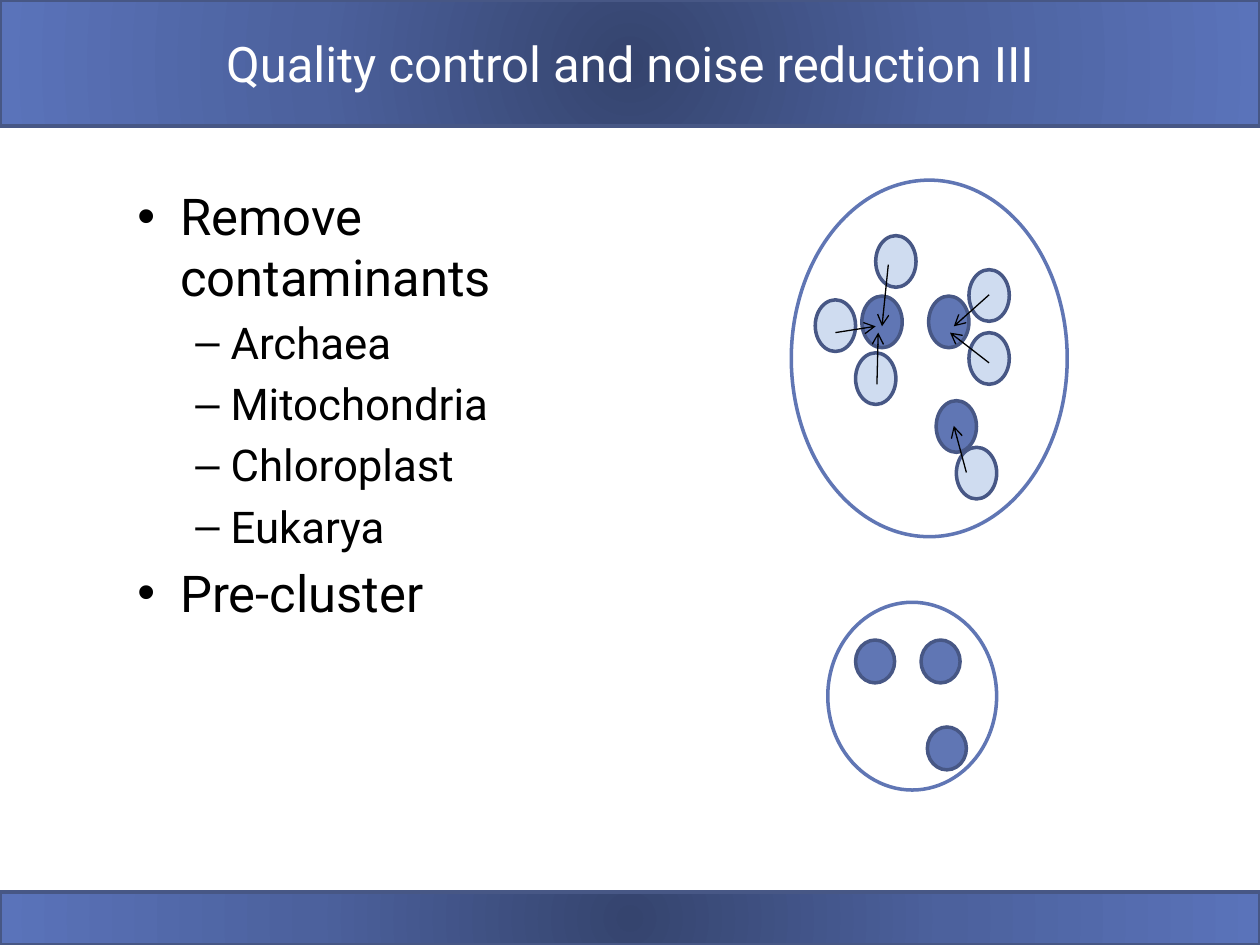
from dataclasses import dataclass

from lxml import etree
from pptx import Presentation
from pptx.dml.color import RGBColor
from pptx.enum.shapes import MSO_CONNECTOR, MSO_SHAPE
from pptx.enum.text import MSO_ANCHOR, PP_ALIGN
from pptx.oxml import parse_xml
from pptx.oxml.ns import nsdecls, qn
from pptx.util import Inches, Pt

RECT, OVAL = MSO_SHAPE.RECTANGLE, MSO_SHAPE.OVAL
STRAIGHT = MSO_CONNECTOR.STRAIGHT
MIDDLE, CENTER = MSO_ANCHOR.MIDDLE, PP_ALIGN.CENTER

# The slide is a grid of 1000 columns by 750 rows
COLS, ROWS = 1000, 750
UNIT = Inches(10) // COLS


@dataclass(frozen=True)
class Theme:
    font: str = "Roboto"
    ink: str = "000000"
    white: str = "FFFFFF"
    blue: str = "6076B4"
    pale: str = "CFDCF0"
    edge: str = "475785"
    band: tuple = ((0, "35446E"), (50, "4C619D"), (100, "5A73BA"))
    title: int = 28
    item: int = 29
    sub: int = 25
    line: float = 2
    thin: float = 0.75


THEME = Theme()

# Level: bullet, type size, left margin and hang in columns
LEVELS = (("•", THEME.item, 34, 34), ("–", THEME.sub, 74, 28))
ITEMS = (
    (0, "Remove contaminants"),
    (1, "Archaea"),
    (1, "Mitochondria"),
    (1, "Chloroplast"),
    (1, "Eukarya"),
    (0, "Pre-cluster"),
)

# Cells and arrows: columns and rows from the corner of their cluster
SEEDS = ((115, 175), (56, 92), (109, 92))
STRAYS = ((67, 44), (19, 95), (51, 137), (141, 71), (141, 121), (131, 212))
MOVES = (
    (35, 121, 67, 116),
    (77, 67, 72, 116),
    (68, 162, 69, 121),
    (139, 232, 129, 195),
    (157, 91, 129, 116),
    (157, 145, 126, 121),
)
MERGED = ((79, 99), (22, 30), (74, 30))


def grid(*vals):
    return [round(v * UNIT) for v in vals]


def add_form(shapes, kind, box, fill=None, edge=THEME.edge):
    form = shapes.add_shape(kind, *grid(*box))
    form.shadow.inherit = False
    if fill:
        form.fill.solid()
        form.fill.fore_color.rgb = RGBColor.from_string(fill)
    else:
        form.fill.background()
    form.line.color.rgb = RGBColor.from_string(edge)
    form.line.width = Pt(THEME.line)
    return form


def style(para, size, color):
    for run in para.runs:
        run.font.name = THEME.font
        run.font.size = Pt(size)
        run.font.color.rgb = RGBColor.from_string(color)


def add_frame(slide, box):
    frame = slide.shapes.add_textbox(*grid(*box)).text_frame
    frame.word_wrap = True
    frame.margin_left = frame.margin_right = Inches(0.09)
    frame.margin_top = frame.margin_bottom = Inches(0.05)
    return frame


def add_band(slide, box):
    band = add_form(slide.shapes, RECT, box, THEME.blue)
    stops = "".join(
        f'<a:gs pos="{pos * 1000}"><a:srgbClr val="{color}"/></a:gs>'
        for pos, color in THEME.band
    )
    # Radial gradient from the middle
    grad = parse_xml(
        f'<a:gradFill {nsdecls("a")} rotWithShape="1"><a:gsLst>{stops}</a:gsLst>'
        '<a:path path="circle"><a:fillToRect l="50000" t="50000" r="50000" '
        'b="50000"/></a:path></a:gradFill>'
    )
    props = band._element.spPr
    props.replace(props.find(qn("a:solidFill")), grad)


def add_title(slide, box, text):
    frame = add_frame(slide, box)
    frame.vertical_anchor = MIDDLE
    para = frame.paragraphs[0]
    para.text = text
    para.alignment = CENTER
    style(para, THEME.title, THEME.white)


def add_list(slide, box, items):
    frame = add_frame(slide, box)
    frame.text = "\n".join(text for _, text in items)
    for para, (level, _) in zip(frame.paragraphs, items):
        mark, size, left, hang = LEVELS[level]
        para.level = level
        para.space_before = Pt(size * 0.2)
        style(para, size, THEME.ink)
        props = para._p.get_or_add_pPr()
        props.set("marL", str(left * UNIT))
        props.set("indent", str(-hang * UNIT))
        etree.SubElement(props, qn("a:buFont"), typeface="Arial")
        etree.SubElement(props, qn("a:buChar"), char=mark)


def add_arrow(shapes, ends):
    arrow = shapes.add_connector(STRAIGHT, *grid(*ends))
    arrow.line.color.rgb = RGBColor.from_string(THEME.ink)
    arrow.line.width = Pt(THEME.thin)
    etree.SubElement(arrow.line._get_or_add_ln(), qn("a:tailEnd"), type="arrow")
    etree.SubElement(arrow._element.spPr, qn("a:effectLst"))


def add_cluster(slide, box, cell, seeds, strays=(), moves=()):
    shapes = slide.shapes.add_group_shape().shapes
    left, top = box[:2]

    def add_cells(spots, fill):
        for col, row in spots:
            add_form(shapes, OVAL, (left + col, top + row, *cell), fill)

    add_cells(seeds, THEME.blue)
    add_form(shapes, OVAL, box, edge=THEME.blue)
    add_cells(strays, THEME.pale)
    for x1, y1, x2, y2 in moves:
        add_arrow(shapes, (left + x1, top + y1, left + x2, top + y2))


def main():
    deck = Presentation()
    deck.slide_width, deck.slide_height = grid(COLS, ROWS)
    slide = deck.slides.add_slide(deck.slide_layouts[6])

    # Top and bottom bands
    add_band(slide, (0, 0, COLS, 100))
    add_band(slide, (0, 708, COLS, 42))

    # Title and list
    add_title(slide, (100, 0, 800, 100), "Quality control and noise reduction III")
    add_list(slide, (100, 142, 388, 533), ITEMS)

    # Clusters after and before merging
    add_cluster(slide, (657, 478, 134, 149), (31, 34), MERGED)
    add_cluster(slide, (628, 143, 219, 283), (32, 41), SEEDS, STRAYS, MOVES)

    deck.save("out.pptx")


if __name__ == "__main__":
    main()
